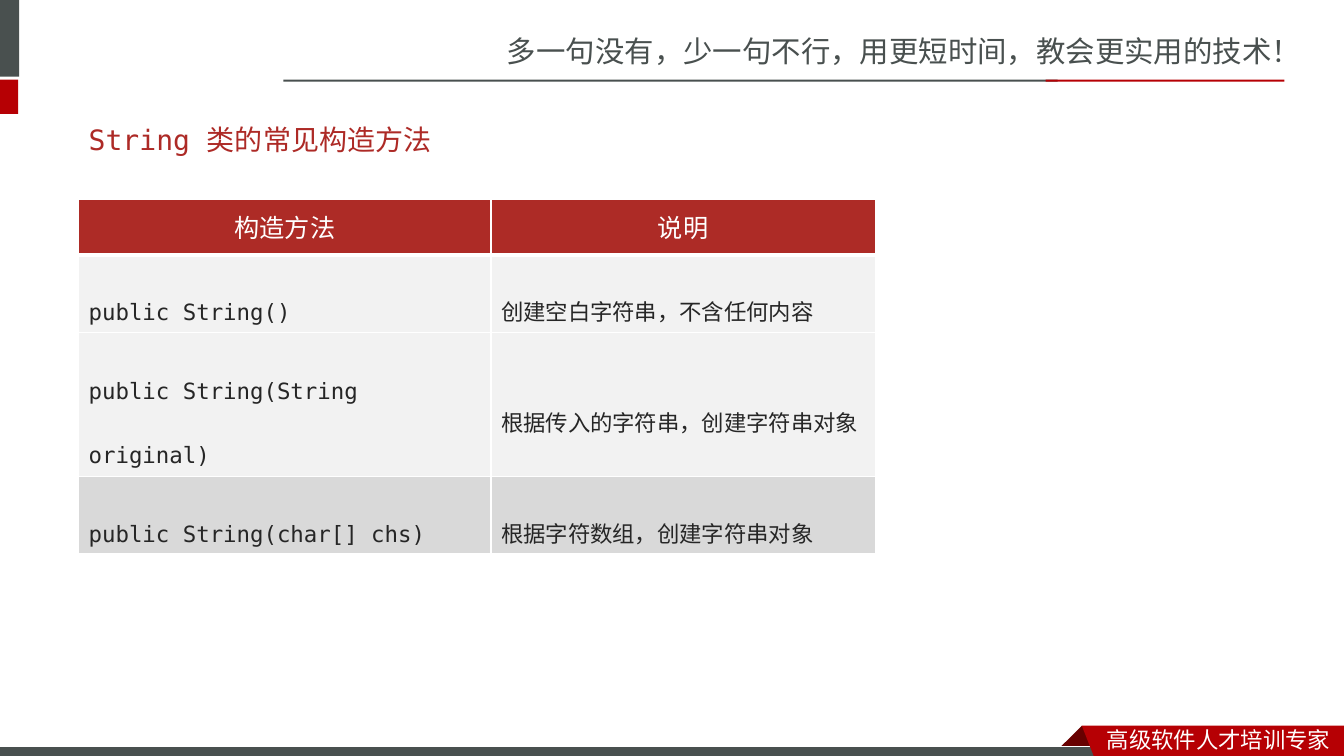
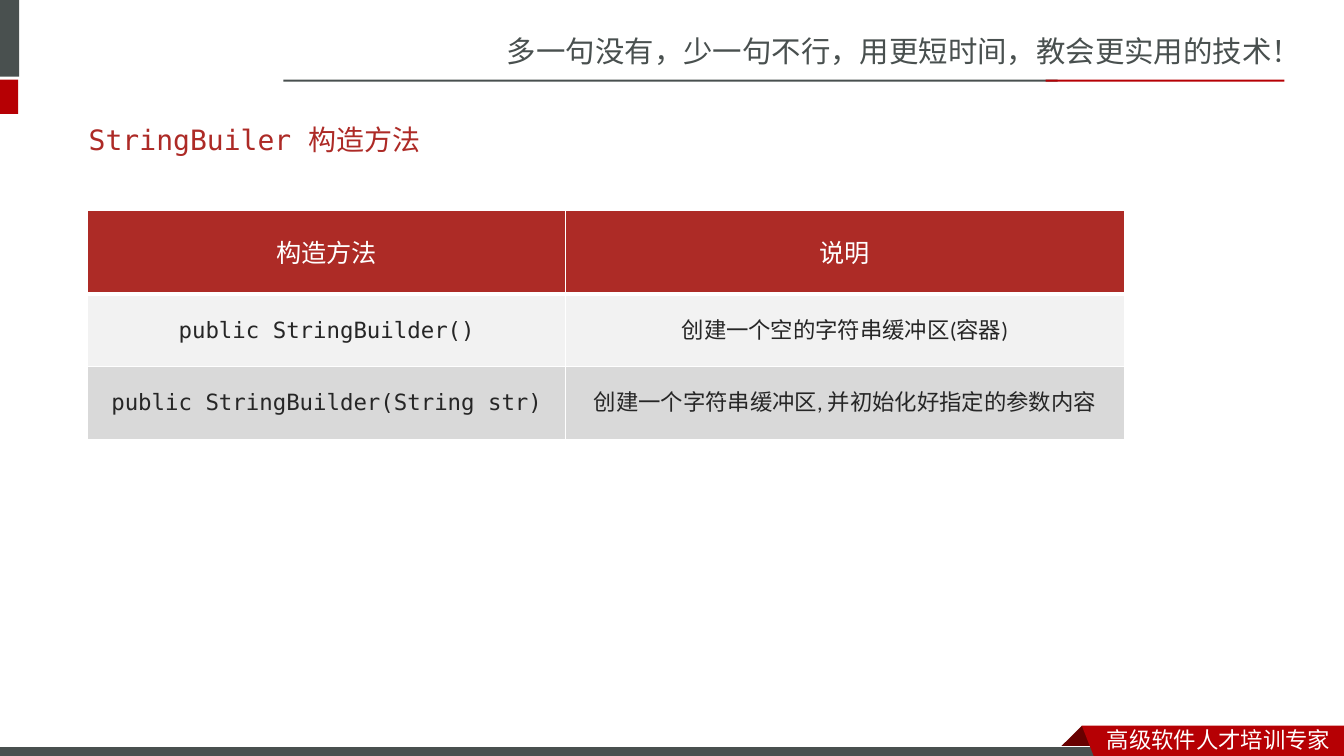
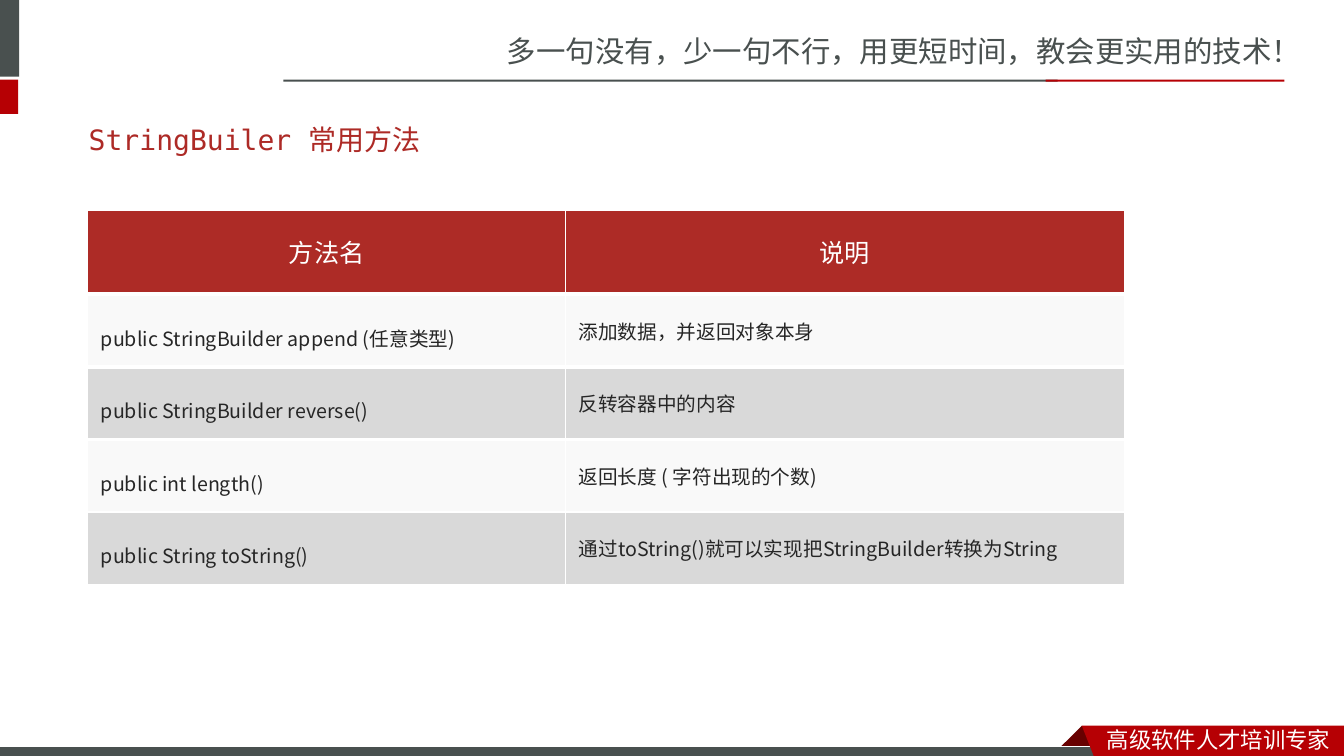
from dataclasses import dataclass
from typing import NamedTuple

from lxml.etree import SubElement
from pptx import Presentation
from pptx.dml.color import RGBColor
from pptx.enum.shapes import MSO_SHAPE
from pptx.enum.text import MSO_ANCHOR, MSO_AUTO_SIZE, PP_ALIGN
from pptx.oxml import parse_xml
from pptx.oxml.ns import nsdecls, qn
from pptx.util import Inches, Pt


# Theme
@dataclass(frozen=True)
class Theme:
    white: str = "FFFFFF"
    gray: str = "49504F"
    red: str = "B60004"
    fold: str = "680000"
    title: str = "AD2A26"
    head: str = "AD2B26"
    ink: str = "262626"
    pale: str = "F2F2F2"
    faint: str = "F9F9F9"
    band: str = "D9D9D9"
    mono: str = "DejaVu Sans Mono"
    sans: str = "Calibri"
    han: str = "Noto Sans CJK SC"
    kanji: str = "Noto Sans CJK JP"
    motto_size: int = 21
    title_size: int = 20
    head_size: int = 18
    text_size: int = 16
    small_size: int = 14


T = Theme()


class Box(NamedTuple):
    left: float
    top: float
    width: float
    height: float


class Bar(NamedTuple):
    box: Box
    color: str
    edge: bool = False


class Patch(NamedTuple):
    points: tuple[tuple[float, float], ...]
    color: str


class Label(NamedTuple):
    box: Box
    text: str
    size: int
    color: str


class Col(NamedTuple):
    width: float
    head: str
    font: str
    space: float = 1.0


class Row(NamedTuple):
    height: float
    texts: tuple[str, str]
    fill: str
    rule: int = 1  # width of the line below, in points


@dataclass(frozen=True)
class Grid:
    box: Box
    cols: tuple[Col, Col]
    head: float
    rows: tuple[Row, ...]
    size: int = T.text_size
    align: PP_ALIGN = PP_ALIGN.LEFT
    inset: tuple[float, float] = (0.1, 0.05)


class Page(NamedTuple):
    code: str
    topic: str
    grid: Grid


# Parts shared by every slide
BARS = (
    Bar(Box(-0.06, 0, 0.25, 0.76), T.gray),
    Bar(Box(-0.06, 0.79, 0.24, 0.34), T.red),
    Bar(Box(2.81, 0.79, 7.68, 0.02), T.gray),
    Bar(Box(10.37, 0.79, 2.37, 0.02), T.red),
)
FOLD = Patch(((10.73, 7.2), (10.95, 7.42), (10.94, 7.43), (10.52, 7.43), (10.51, 7.42)), T.fold)
FLOOR = Bar(Box(-0.01, 7.41, 11, 0.12), T.gray, edge=True)
FLAG = Patch(((10.73, 7.2), (13.33, 7.2), (13.33, 7.54), (10.86, 7.53)), T.red)
MOTTO = Label(Box(4.93, 0.28, 8.41, 0.47),
              "多一句没有，少一句不行，用更短时间，教会更实用的技术！", T.motto_size, T.gray)
FOOT = Label(Box(10.88, 7.15, 2.45, 0.37), "高级软件人才培训专家", T.text_size, T.white)
TITLE = Box(0.78, 1.1, 11.7, 0.57)

# Content
WIDE, STEP, TALL = (4.74, 5.54), 0.72, 0.83
PAGES = (
    Page("String ", "类的常见构造方法", Grid(
        Box(0.78, 1.98, 7.9, 2.53),
        (Col(4.09, "构造方法", T.mono, 2.5), Col(3.81, "说明", T.mono, 2.5)),
        0.55,
        (
            Row(0.3, ("public String()", "创建空白字符串，不含任何内容"), T.pale),
            Row(0.53, ("public String(String original)", "根据传入的字符串，创建字符串对象"), T.pale),
            Row(0.61, ("public String(char[] chs)", "根据字符数组，创建字符串对象"), T.band),
        ),
    )),
    Page("StringBuiler ", "构造方法", Grid(
        Box(0.87, 2.09, 10.28, 2.27),
        (Col(WIDE[0], "构造方法", T.mono), Col(WIDE[1], "说明", T.sans)),
        TALL,
        (
            Row(STEP, ("public StringBuilder()", "创建一个空的字符串缓冲区(容器)"), T.pale),
            Row(STEP, ("public StringBuilder(String str)",
                       "创建一个字符串缓冲区, 并初始化好指定的参数内容"), T.band),
        ),
        align=PP_ALIGN.CENTER,
    )),
    Page("StringBuiler ", "常用方法", Grid(
        Box(0.87, 2.09, 10.28, 3.71),
        (Col(WIDE[0], "方法名", T.kanji, 1.5), Col(WIDE[1], "说明", T.kanji)),
        TALL,
        (
            Row(STEP, ("public StringBuilder append (任意类型)", "添加数据，并返回对象本身"), T.faint, 3),
            Row(STEP, ("public StringBuilder reverse()", "反转容器中的内容"), T.band, 3),
            Row(STEP, ("public int length()", "返回长度 ( 字符出现的个数)"), T.faint),
            Row(STEP, ("public String toString()",
                       "通过toString()就可以实现把StringBuilder转换为String"), T.band),
        ),
        size=T.small_size,
        inset=(0.13, 0.07),
    )),
)


# Helpers
def rgb(code: str) -> RGBColor:
    return RGBColor.from_string(code)


def place(box: Box) -> tuple:
    return tuple(Inches(n) for n in box)


def set_face(font, props, name: str) -> None:
    """Use one typeface for Latin and East Asian text."""
    font.name = name
    SubElement(props, qn("a:ea")).set("typeface", name)


def style(para, name: str, size: int, color: str) -> None:
    font = para.font
    font.size, font.bold = Pt(size), False
    font.color.rgb = rgb(color)
    set_face(font, para._p.pPr.find(qn("a:defRPr")), name)


def paint(shape, color: str, edge: bool = False) -> None:
    shape.shadow.inherit = False
    shape.fill.solid()
    shape.fill.fore_color.rgb = rgb(color)
    if edge:
        shape.line.color.rgb = rgb(T.white)
        shape.line.width = Pt(0.75)
    else:
        shape.line.fill.background()


def add_bar(slide, bar: Bar) -> None:
    shape = slide.shapes.add_shape(MSO_SHAPE.RECTANGLE, *place(bar.box))
    paint(shape, bar.color, bar.edge)


def add_patch(slide, patch: Patch) -> None:
    first, *rest = [(Inches(x), Inches(y)) for x, y in patch.points]
    pen = slide.shapes.build_freeform(*first)
    pen.add_line_segments(rest, close=True)
    paint(pen.convert_to_shape(), patch.color)


def add_label(slide, label: Label) -> None:
    frame = slide.shapes.add_textbox(*place(label.box)).text_frame
    frame.word_wrap = True
    frame.auto_size = MSO_AUTO_SIZE.SHAPE_TO_FIT_TEXT
    para = frame.paragraphs[0]
    para.text = label.text
    style(para, T.han, label.size, label.color)


def add_frame(slide) -> None:
    for bar in BARS:
        add_bar(slide, bar)
    add_patch(slide, FOLD)
    add_bar(slide, FLOOR)
    add_patch(slide, FLAG)
    for label in (MOTTO, FOOT):
        add_label(slide, label)


def add_title(slide, code: str, topic: str) -> None:
    title = slide.shapes.title
    title.left, title.top, title.width, title.height = place(TITLE)
    frame = title.text_frame
    frame.auto_size = MSO_AUTO_SIZE.NONE
    frame.vertical_anchor = MSO_ANCHOR.MIDDLE
    para = frame.paragraphs[0]
    para.alignment = PP_ALIGN.LEFT
    for text, name in ((code, T.mono), (topic, T.kanji)):
        run = para.add_run()
        run.text = text
        run.font.size = Pt(T.title_size)
        run.font.color.rgb = rgb(T.title)
        set_face(run.font, run._r.get_or_add_rPr(), name)


def set_rules(cell, above: int, below: int) -> None:
    props = cell._tc.get_or_add_tcPr()
    sides = (("L", 1), ("R", 1), ("T", above), ("B", below))
    for spot, (side, width) in enumerate(sides):
        props.insert(spot, parse_xml(
            f'<a:ln{side} {nsdecls("a")} w="{Pt(width)}"><a:solidFill>'
            f'<a:srgbClr val="{T.white}"/></a:solidFill></a:ln{side}>'))


def fill_cell(cell, text: str, fill: str, inset: tuple[float, float], align: PP_ALIGN,
              space, name: str, size: int, color: str) -> None:
    cell.fill.solid()
    cell.fill.fore_color.rgb = rgb(fill)
    cell.vertical_anchor = MSO_ANCHOR.MIDDLE
    cell.margin_left = cell.margin_right = Inches(inset[0])
    cell.margin_top = cell.margin_bottom = Inches(inset[1])
    para = cell.text_frame.paragraphs[0]
    para.text = text
    para.alignment = align
    para.line_spacing = space
    style(para, name, size, color)


def add_grid(slide, grid: Grid) -> None:
    shape = slide.shapes.add_table(len(grid.rows) + 1, len(grid.cols), *place(grid.box))
    table = shape.table
    table.first_row = table.horz_banding = False
    heads = Row(grid.head, tuple(col.head for col in grid.cols), T.head, 3)
    for c, col in enumerate(grid.cols):
        table.columns[c].width = Inches(col.width)
    above = 1
    for r, row in enumerate((heads, *grid.rows)):
        table.rows[r].height = Inches(row.height)
        for c, (col, text) in enumerate(zip(grid.cols, row.texts)):
            cell = table.cell(r, c)
            if r == 0:
                fill_cell(cell, text, row.fill, (0.1, 0.05), PP_ALIGN.CENTER,
                          Pt(24), T.sans, T.head_size, T.white)
            else:
                fill_cell(cell, text, row.fill, grid.inset, grid.align,
                          col.space, col.font, grid.size, T.ink)
            set_rules(cell, above, row.rule)
        above = row.rule
    shape.height = Inches(grid.box.height)


def main() -> None:
    deck = Presentation()
    deck.slide_width, deck.slide_height = Inches(13.33), Inches(7.5)
    for page in PAGES:
        slide = deck.slides.add_slide(deck.slide_layouts[5])
        add_frame(slide)
        add_title(slide, page.code, page.topic)
        add_grid(slide, page.grid)
    deck.save("out.pptx")


if __name__ == "__main__":
    main()
